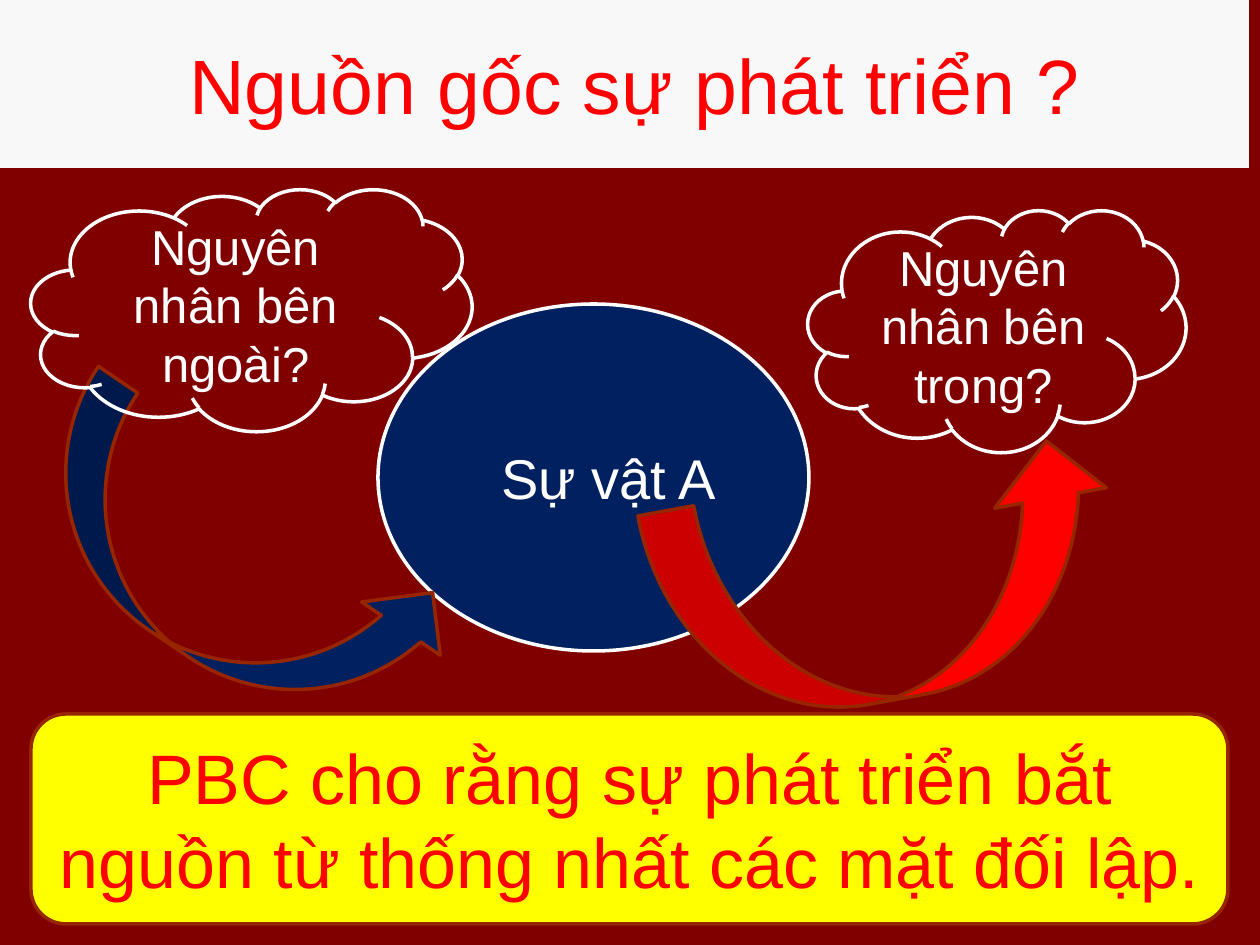
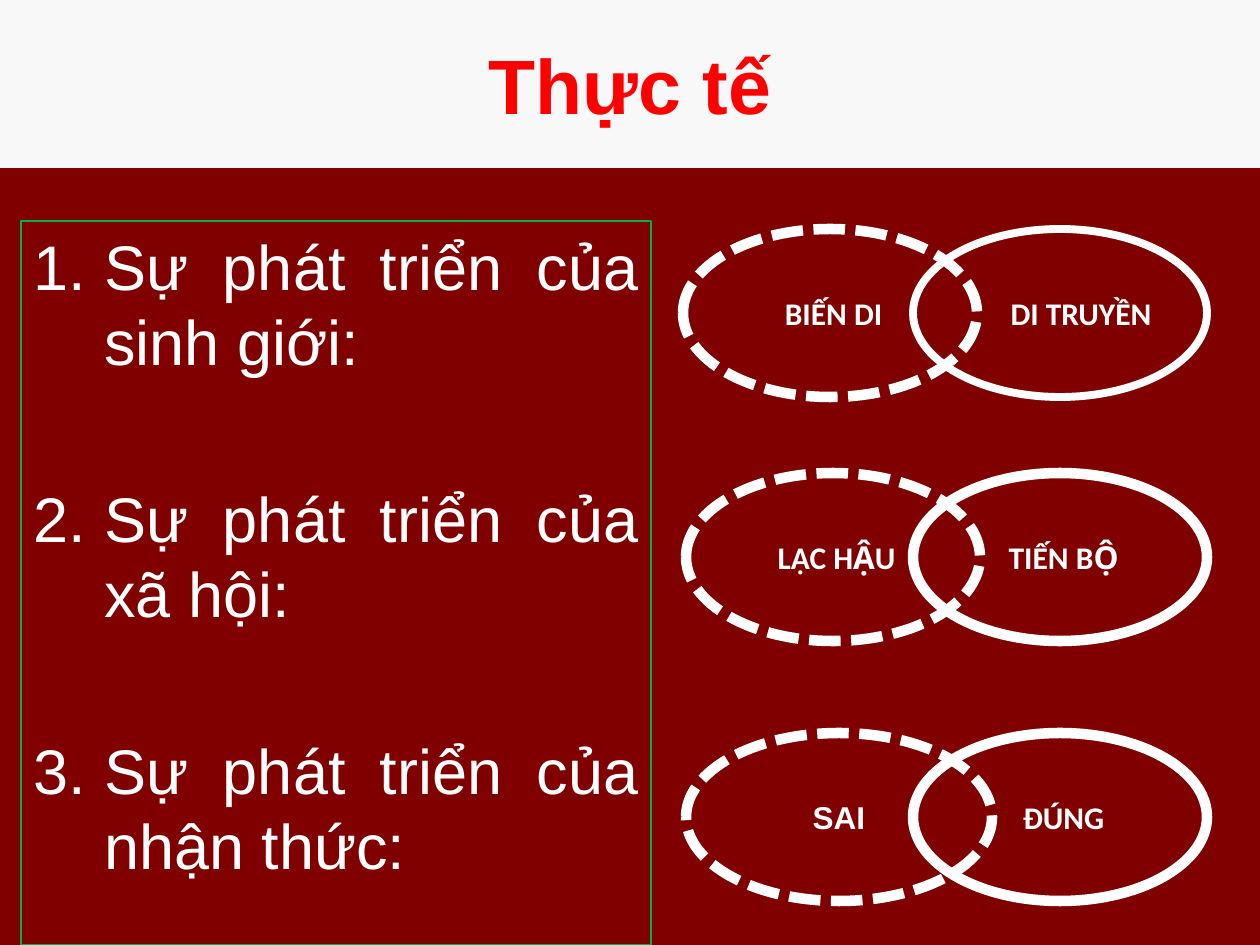
import lxml.etree
import pptx
import pptx.dml.color
import pptx.enum.dml
import pptx.enum.shapes
import pptx.enum.text
import pptx.oxml.ns
import pptx.util

EMU_PER_PX = 914400 / 126
SLIDE_WIDTH, SLIDE_HEIGHT = 1260, 945
TITLE_HEIGHT = 168

COLORS = {
    "background": "800000",
    "band": "F8F8F8",
    "red": "FF0000",
    "navy": "002060",
    "white": "FFFFFF",
    "yellow": "FFFF00",
    "rust": "972600",
    "green": "00B050",
}

# Vietnamese tone marks: code point, toned letters, the same letters without tone
TONES = (
    (0x300, "ồừỀ", "ôưÊ"),
    (0x301, "áắếớứốẾÚ", "aăêơưôÊU"),
    (0x303, "ã", "a"),
    (0x309, "ểủ", "êu"),
    (0x323, "ựặậộẠẬỘ", "ưăâôAÂÔ"),
)
TONE_TABLE = {toned: base + chr(mark)
              for mark, toned_letters, bases in TONES
              for toned, base in zip(toned_letters, bases)}

SHAPE = pptx.enum.shapes.MSO_SHAPE
ALIGN = pptx.enum.text.PP_ALIGN
ANCHOR = pptx.enum.text.MSO_ANCHOR


def px(length):
    return pptx.util.Emu(round(length * EMU_PER_PX))


def rgb(name):
    return pptx.dml.color.RGBColor.from_string(COLORS[name])


def combining(text):
    """Spell each toned letter as a letter and a combining tone mark."""
    return "".join(TONE_TABLE.get(letter, letter) for letter in text)


def write_text(shape, text, size=28, color="white", font="Arial", bold=False,
               align=ALIGN.CENTER, anchor=ANCHOR.MIDDLE, shift=0,
               numbered_indent=0, gap=0):
    """Write one paragraph per line; shift widens the left margin in px."""
    frame = shape.text_frame
    frame.word_wrap = True
    frame.vertical_anchor = anchor
    frame.margin_left += px(shift)
    for index, line in enumerate(text.split("\n")):
        paragraph = frame.add_paragraph() if index else frame.paragraphs[0]
        paragraph.alignment = align
        if numbered_indent:
            properties = paragraph._p.get_or_add_pPr()
            properties.set("marL", str(px(numbered_indent)))
            properties.set("indent", str(-px(numbered_indent)))
            lxml.etree.SubElement(properties, pptx.oxml.ns.qn("a:buAutoNum"),
                                  type="arabicPeriod")
        if index and gap:
            paragraph.space_before = pptx.util.Pt(gap)
        run = paragraph.add_run()
        run.text = line
        run.font.name = font
        run.font.size = pptx.util.Pt(size)
        run.font.bold = bold
        run.font.color.rgb = rgb(color)


class Deck:
    def __init__(self):
        self.presentation = pptx.Presentation()
        self.presentation.slide_width = px(SLIDE_WIDTH)
        self.presentation.slide_height = px(SLIDE_HEIGHT)
        self.slide = None

    def new_slide(self):
        self.slide = self.presentation.slides.add_slide(
            self.presentation.slide_layouts[6])
        fill = self.slide.background.fill
        fill.solid()
        fill.fore_color.rgb = rgb("background")

    def shape(self, kind, box, fill=None, line=None, line_width=2, dashed=False):
        shape = self.slide.shapes.add_shape(kind, *map(px, box))
        shape.shadow.inherit = False
        if fill:
            shape.fill.solid()
            shape.fill.fore_color.rgb = rgb(fill)
        else:
            shape.fill.background()
        if line:
            shape.line.color.rgb = rgb(line)
            shape.line.width = pptx.util.Pt(line_width)
            if dashed:
                shape.line.dash_style = pptx.enum.dml.MSO_LINE.SQUARE_DOT
        else:
            shape.line.fill.background()
        return shape

    def title(self, text, width=SLIDE_WIDTH, **text_format):
        band = self.shape(SHAPE.RECTANGLE, (0, 0, width, TITLE_HEIGHT), "band")
        write_text(band, text, size=44, color="red", **text_format)

    def cloud(self, text, box, fill=None):
        write_text(self.shape(SHAPE.CLOUD, box, fill, "white"), text)

    def curved_arrow(self, box, rotation, fill):
        arrow = self.shape(SHAPE.CURVED_RIGHT_ARROW, box, fill, "rust")
        arrow.rotation = rotation

    def ring(self, text, box, line_width=6, dashed=False, **text_format):
        ring = self.shape(SHAPE.OVAL, box, None, "white", line_width, dashed)
        text_format = {"font": "Calibri", "shift": 7, **text_format}
        write_text(ring, combining(text), size=18, bold=True, **text_format)


def build_origin_slide(deck):
    deck.new_slide()
    deck.title("Nguồn gốc sự phát triển ?", width=1249, shift=21)

    # The thing itself, with its outer and inner causes
    thing = deck.shape(SHAPE.OVAL, (378, 304, 431, 347), "navy", "white")
    write_text(thing, "Sự vật A", size=32, shift=31)
    deck.curved_arrow((137, 346, 190, 451), 304.1, "navy")
    deck.cloud("Nguyên nhân bên ngoài?", (31, 189, 441, 242))
    deck.curved_arrow((777, 349, 227, 472), 259.6, "red")
    deck.cloud("Nguyên nhân bên trong?", (808, 210, 378, 242), "background")

    # Conclusion
    conclusion = deck.shape(SHAPE.ROUNDED_RECTANGLE, (31, 714, 1197, 210),
                            "yellow", "rust")
    write_text(conclusion, "PBC cho rằng sự phát triển "
               + combining("bắt nguồn từ ") + "thống nhất "
               + combining("các mặt đối lập."), size=40, color="red")


def build_reality_slide(deck):
    deck.new_slide()
    deck.title(combining("Thực tế"), bold=True)

    # Numbered fields of development
    fields = deck.shape(SHAPE.RECTANGLE, (21, 221, 630, 724), None, "green", 0.75)
    subjects = ("sinh giới", "xã hội", "nhận thức")
    lines = "\n".join(f"Sự phát triển của {name}:" for name in subjects)
    write_text(fields, combining(lines), size=36, align=ALIGN.JUSTIFY,
               anchor=ANCHOR.TOP, numbered_indent=71, gap=57.6)

    # Overlapping pairs of opposites: solid right ring, dashed left ring
    width, height, left, right = 294, 168, 686, 913
    deck.ring("DI TRUYỀN", (right, 229, width, height), line_width=4.5,
              align=ALIGN.RIGHT, shift=0)
    deck.ring("BIẾN DI", (683, 229, width, height), dashed=True)
    deck.ring("TIẾN BỘ", (right, 473, width, height))
    deck.ring("LẠC HẬU", (left, 473, width, height), dashed=True)
    deck.ring("ĐÚNG", (right, 733, width, height))
    deck.ring("SAI", (left, 733, 306, height), dashed=True, font="Arial", shift=0)


def main():
    deck = Deck()
    build_origin_slide(deck)
    build_reality_slide(deck)
    deck.presentation.save("out.pptx")


if __name__ == "__main__":
    main()
